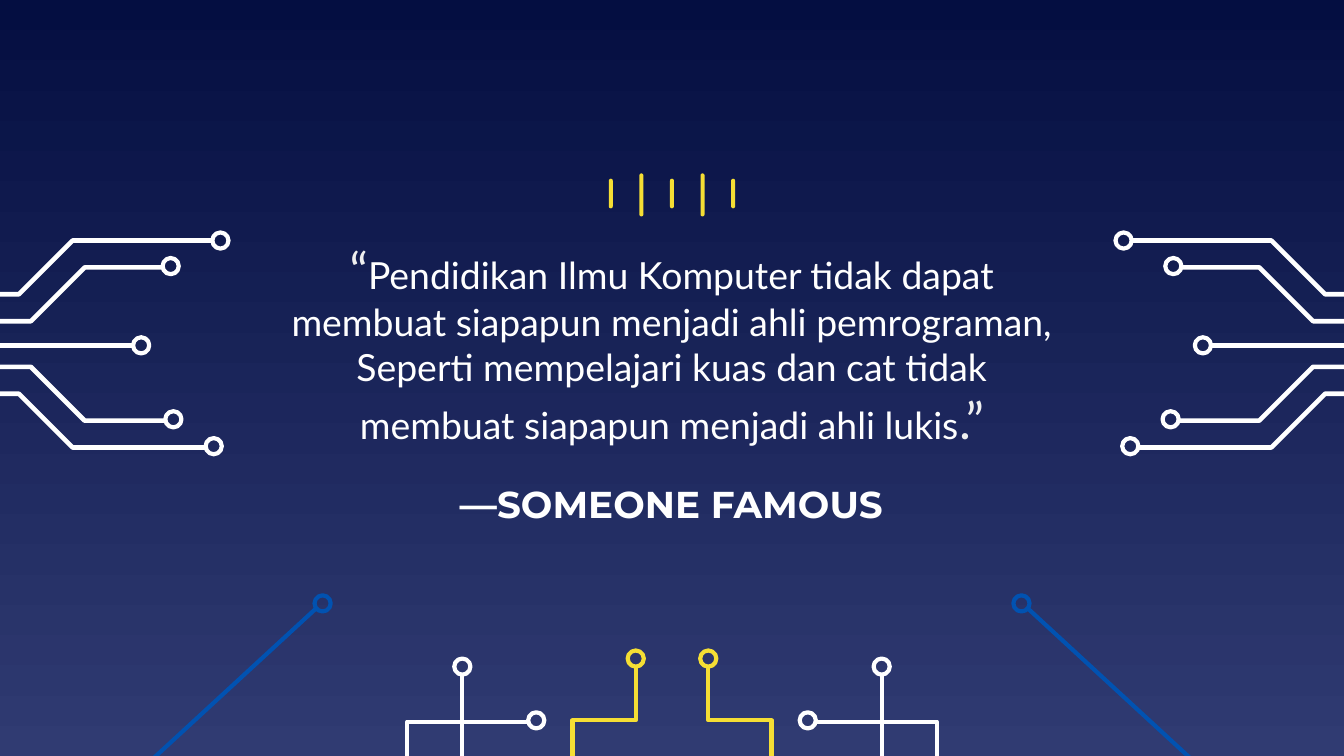
from lxml import etree
from pptx import Presentation
from pptx.dml.color import RGBColor
from pptx.enum.shapes import MSO_CONNECTOR, MSO_SHAPE
from pptx.enum.text import MSO_ANCHOR, MSO_AUTO_SIZE, PP_ALIGN
from pptx.oxml.ns import qn
from pptx.util import Inches, Pt

OVAL, ROUNDED = MSO_SHAPE.OVAL, MSO_SHAPE.ROUNDED_RECTANGLE
STRAIGHT = MSO_CONNECTOR.STRAIGHT
MIDDLE, CENTER, NO_FIT = MSO_ANCHOR.MIDDLE, PP_ALIGN.CENTER, MSO_AUTO_SIZE.NONE
COLORS = {"top": "040E41", "bottom": "303B72", "white": "FFFFFF",
          "quote": "EFEFEF", "yellow": "F5DE34", "blue": "0152B1"}
WIDTH = 10
HEIGHT = WIDTH * 9 / 16
RING = 0.12


def color(name):
    return RGBColor.from_string(COLORS[name])


def fill_placeholder(box, bounds, spans):
    """Place a text placeholder and write its (text, size, font, color, bold) spans."""
    box.left, box.top, box.width, box.height = [Inches(value) for value in bounds]
    frame = box.text_frame
    frame.word_wrap, frame.auto_size, frame.vertical_anchor = True, NO_FIT, MIDDLE
    frame.margin_left = frame.margin_right = Inches(0.1)
    frame.margin_top = frame.margin_bottom = Inches(0.1)
    para = frame.paragraphs[0]
    para.alignment, para.line_spacing, para.space_before = CENTER, 1.0, Pt(0)
    for text, size, font, tone, bold in spans:
        for number, line in enumerate(text.split("\n")):
            if number:
                para.add_line_break()
            span = para.add_run()
            span.text = line
            span.font.size, span.font.name, span.font.bold = Pt(size), font, bold
            span.font.color.rgb = color(tone)


deck = Presentation()
deck.slide_width, deck.slide_height = Inches(WIDTH), Inches(HEIGHT)
page = deck.slides.add_slide(deck.slide_layouts[0])
shapes = page.shapes

# Background gradient, dark at the top
background = page.background.fill
background.gradient()
background.gradient_angle = 270
for stop, name, position in zip(background.gradient_stops, ("top", "bottom"), (0, 1)):
    stop.color.rgb = color(name)
    stop.position = position

# Quote and its author
fill_placeholder(shapes.title, (2.84, 3.46, 4.31, 0.58),
                 [("—SOMEONE FAMOUS", 20, "Montserrat", "white", True)])
quote = ("Pendidikan Ilmu Komputer tidak dapat membuat siapapun menjadi ahli pemrograman,\n"
         "Seperti mempelajari kuas dan cat tidak membuat siapapun menjadi ahli lukis")
fill_placeholder(page.placeholders[1], (1.96, 1.62, 6.08, 1.88),
                 [("“", 27, "Lato", "quote", False),
                  (quote, 20, "Lato", "white", False),
                  (".”", 27, "Lato", "quote", False)])

# Circuit traces of the left half: color, line width, ring corner, path from the ring
traces = [
    ("white", 2.5, (1.58, 1.73), [(1.58, 1.79), (0.54, 1.79), (0.14, 2.19), (-0.81, 2.19)]),
    ("white", 2.5, (1.21, 1.92), [(1.21, 1.99), (0.63, 1.99), (0.23, 2.39), (-0.81, 2.39)]),
    ("white", 2.5, (0.99, 2.51), [(0.99, 2.57), (-0.61, 2.57)]),
    ("white", 2.5, (1.23, 3.06), [(1.23, 3.13), (0.63, 3.13), (0.23, 2.73), (-0.81, 2.73)]),
    ("white", 2.5, (1.53, 3.26), [(1.53, 3.33), (0.54, 3.33), (0.14, 2.93), (-0.81, 2.93)]),
    ("yellow", 2.25, (4.67, 4.84), [(4.73, 4.95), (4.73, 5.36), (4.26, 5.36), (4.26, 6.47)]),
    ("white", 2.25, (3.93, 5.3), [(3.93, 5.37), (3.03, 5.37), (3.03, 6.47)]),
    ("white", 2.25, (3.38, 4.9), [(3.44, 5.02), (3.44, 5.76), (2.26, 5.76), (2.26, 6.47)]),
    ("blue", 2.25, (2.34, 4.43), [(2.36, 4.52), (0.95, 5.82), (0, 5.82), (0, 6.23)]),
]

# Each trace is drawn on the left and mirrored on the right
for mirrored in (False, True):
    for tone, weight, (ring_left, ring_top), path in traces:
        if mirrored:
            ring_left = WIDTH - ring_left - RING
            path = [(WIDTH - x, y) for x, y in path]
        points = [(Inches(x), Inches(y)) for x, y in path]
        if len(points) == 2:
            trace = shapes.add_connector(STRAIGHT, *points[0], *points[1])
            etree.SubElement(trace.element.spPr, qn("a:effectLst"))
        else:
            builder = shapes.build_freeform(*points[0])
            builder.add_line_segments(points[1:], close=False)
            trace = builder.convert_to_shape()
            trace.fill.background()
            trace.shadow.inherit = False
        ring = shapes.add_shape(OVAL, Inches(ring_left), Inches(ring_top),
                                Inches(RING), Inches(RING))
        ring.fill.background()
        ring.shadow.inherit = False
        for part, width in ((trace, weight), (ring, 2.25)):
            part.line.color.rgb = color(tone)
            part.line.width = Pt(width)

# Row of yellow bars, alternating short and tall
first_bar, last_bar, bar_count = 4.53, 5.44, 5
bar_step = (last_bar - first_bar) / (bar_count - 1)
for number in range(bar_count):
    top, height = (1.29, 0.32) if number % 2 else (1.33, 0.22)
    bar = shapes.add_shape(ROUNDED, Inches(first_bar + bar_step * number), Inches(top),
                           Inches(0.03), Inches(height))
    bar.adjustments[0] = 0.5
    bar.fill.solid()
    bar.fill.fore_color.rgb = color("yellow")
    bar.line.fill.background()
    bar.shadow.inherit = False

deck.save("out.pptx")
